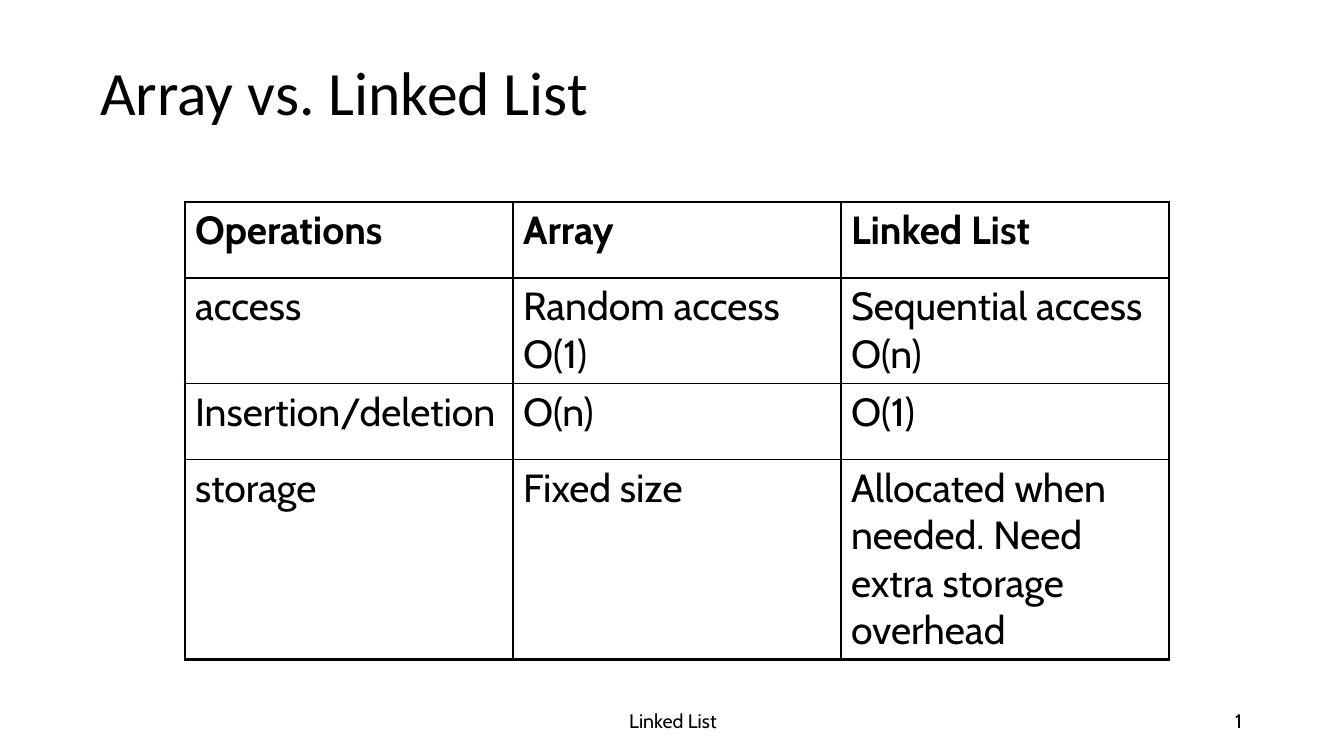
"""Build a slide comparing arrays and linked lists in a bordered table."""
from lxml import etree
from pptx import Presentation
from pptx.dml.color import RGBColor
from pptx.enum.text import MSO_ANCHOR, PP_ALIGN
from pptx.oxml.ns import qn
from pptx.util import Pt

PIXEL = 9071
BLACK = RGBColor(0, 0, 0)
WHITE = RGBColor(255, 255, 255)
MIDDLE = MSO_ANCHOR.MIDDLE
LEFT, CENTER, RIGHT = PP_ALIGN.LEFT, PP_ALIGN.CENTER, PP_ALIGN.RIGHT
THIN, THICK = Pt(1), Pt(2.25)

COLUMN_WIDTH = 328
ROW_HEIGHTS = [76, 105, 76, 200]
ROWS = [
    ["Operations", "Array", "Linked List"],
    ["access", "Random access O(1)", "Sequential access O(n)"],
    ["Insertion/deletion", "O(n)", "O(1)"],
    ["storage", "Fixed size", "Allocated when needed. Need extra storage overhead"],
]
FOOTERS = [
    ("Linked List", 446, 454, CENTER),
    ("1", 950, 302, RIGHT),
]


def add_text(paragraph, text, size, font_name, bold=False):
    run = paragraph.add_run()
    run.text = text
    run.font.size = Pt(size)
    run.font.name = font_name
    run.font.bold = bold
    run.font.color.rgb = BLACK


def add_border(cell, side, width):
    properties = cell._tc.get_or_add_tcPr()
    line = etree.SubElement(properties, qn(f"a:ln{side}"), w=str(width))
    fill = etree.SubElement(line, qn("a:solidFill"))
    etree.SubElement(fill, qn("a:srgbClr"), val=str(BLACK))


presentation = Presentation()
presentation.slide_width = 1344 * PIXEL
presentation.slide_height = 756 * PIXEL
slide = presentation.slides.add_slide(presentation.slide_layouts[5])
slide.background.fill.solid()
slide.background.fill.fore_color.rgb = WHITE

title = slide.shapes.title
title.left, title.top = 90 * PIXEL, 33 * PIXEL
title.width, title.height = 1142 * PIXEL, 126 * PIXEL
title.text_frame.vertical_anchor = MIDDLE
title_paragraph = title.text_frame.paragraphs[0]
title_paragraph.alignment = LEFT
title_paragraph.line_spacing = 0.9
add_text(title_paragraph, "Array vs. Linked List", 44, "Calibri")

table = slide.shapes.add_table(
    len(ROWS), len(ROWS[0]), 185 * PIXEL, 202 * PIXEL,
    len(ROWS[0]) * COLUMN_WIDTH * PIXEL, sum(ROW_HEIGHTS) * PIXEL,
).table
table.first_row = False
table.horz_banding = False
for column in table.columns:
    column.width = COLUMN_WIDTH * PIXEL

last_row, last_column = len(ROWS) - 1, len(ROWS[0]) - 1
for row_index, texts in enumerate(ROWS):
    table.rows[row_index].height = ROW_HEIGHTS[row_index] * PIXEL
    for column_index, text in enumerate(texts):
        cell = table.cell(row_index, column_index)
        add_text(cell.text_frame.paragraphs[0], text, 28, "Cabin", row_index == 0)
        outer_sides = {
            "L": column_index == 0,
            "R": column_index == last_column,
            "T": row_index == 0,
            "B": row_index == last_row,
        }
        for side, is_outer in outer_sides.items():
            add_border(cell, side, THICK if is_outer else THIN)
        cell.fill.background()

for text, left, width, alignment in FOOTERS:
    footer = slide.shapes.add_textbox(left * PIXEL, 701 * PIXEL, width * PIXEL, 40 * PIXEL)
    footer.text_frame.word_wrap = True
    footer.text_frame.vertical_anchor = MIDDLE
    paragraph = footer.text_frame.paragraphs[0]
    paragraph.alignment = alignment
    add_text(paragraph, text, 14, "Cabin")

presentation.save("out.pptx")
